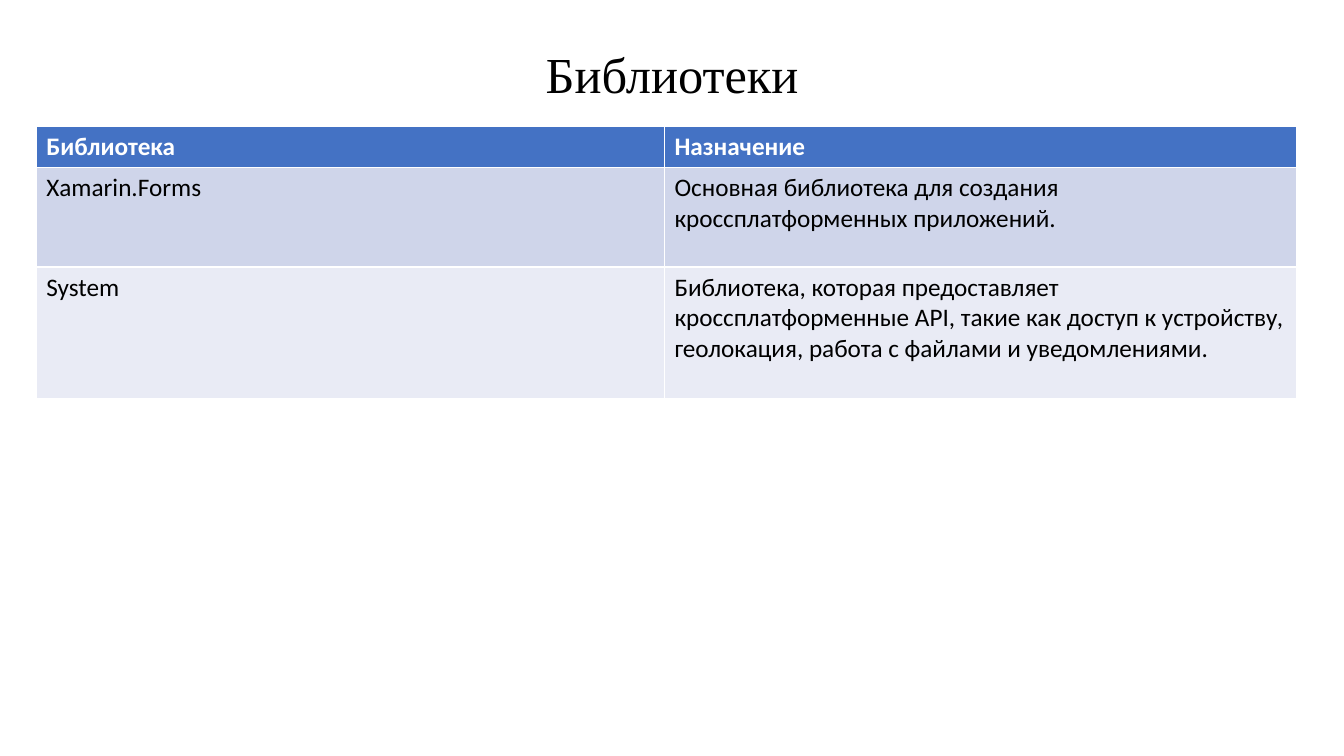
"""Build a slide with a table of libraries and their purposes."""
from dataclasses import dataclass

from pptx import Presentation
from pptx.dml.color import RGBColor
from pptx.enum.text import MSO_AUTO_SIZE as AutoSize, PP_ALIGN as Align
from pptx.util import Inches, Pt

BLACK = RGBColor(0x00, 0x00, 0x00)
WHITE = RGBColor(0xFF, 0xFF, 0xFF)
BLUE = RGBColor(0x44, 0x72, 0xC4)
BAND_DARK = RGBColor(0xCF, 0xD5, 0xEA)
BAND_LIGHT = RGBColor(0xE9, 0xEB, 0xF5)

COL_WIDTHS = (6.23, 6.27)


@dataclass(frozen=True)
class Row:
    library: str
    purpose: str
    height: float
    fill: RGBColor
    color: RGBColor = BLACK
    bold: bool = False


ROWS = (
    Row("Библиотека", "Назначение", 0.41, BLUE, WHITE, True),
    Row("Xamarin.Forms",
        "Основная библиотека для создания кроссплатформенных приложений.",
        0.99, BAND_DARK),
    Row("System",
        "Библиотека, которая предоставляет кроссплатформенные API, такие как "
        "доступ к устройству, геолокация, работа с файлами и уведомлениями.",
        1.3, BAND_LIGHT),
)


def style_text(p, name: str, size: int, color: RGBColor, bold: bool = False) -> None:
    p.font.name = name
    p.font.size = Pt(size)
    p.font.bold = bold
    p.font.color.rgb = color


def add_title(s, text: str) -> None:
    tf = s.shapes.add_textbox(
        Inches(4.32), Inches(0.38), Inches(4.69), Inches(0.71)).text_frame
    tf.word_wrap = True
    tf.auto_size = AutoSize.SHAPE_TO_FIT_TEXT
    p = tf.paragraphs[0]
    p.text = text
    p.alignment = Align.CENTER
    style_text(p, "Times New Roman", 36, BLACK)


def add_library_table(s, rows: tuple[Row, ...]) -> None:
    table = s.shapes.add_table(
        len(rows), len(COL_WIDTHS), Inches(0.36), Inches(1.25),
        Inches(sum(COL_WIDTHS)), Inches(sum(row.height for row in rows))).table
    for column, width in zip(table.columns, COL_WIDTHS):
        column.width = Inches(width)
    for table_row, row in zip(table.rows, rows):
        table_row.height = Inches(row.height)
        for cell, text in zip(table_row.cells, (row.library, row.purpose)):
            cell.text = text
            cell.fill.solid()
            cell.fill.fore_color.rgb = row.fill
            style_text(cell.text_frame.paragraphs[0], "Calibri", 18,
                       row.color, row.bold)


def main() -> None:
    prs = Presentation()
    prs.slide_width, prs.slide_height = Inches(13.33), Inches(7.5)
    s = prs.slides.add_slide(prs.slide_layouts[6])
    add_title(s, "Библиотеки")
    add_library_table(s, ROWS)
    prs.save("out.pptx")


if __name__ == "__main__":
    main()
